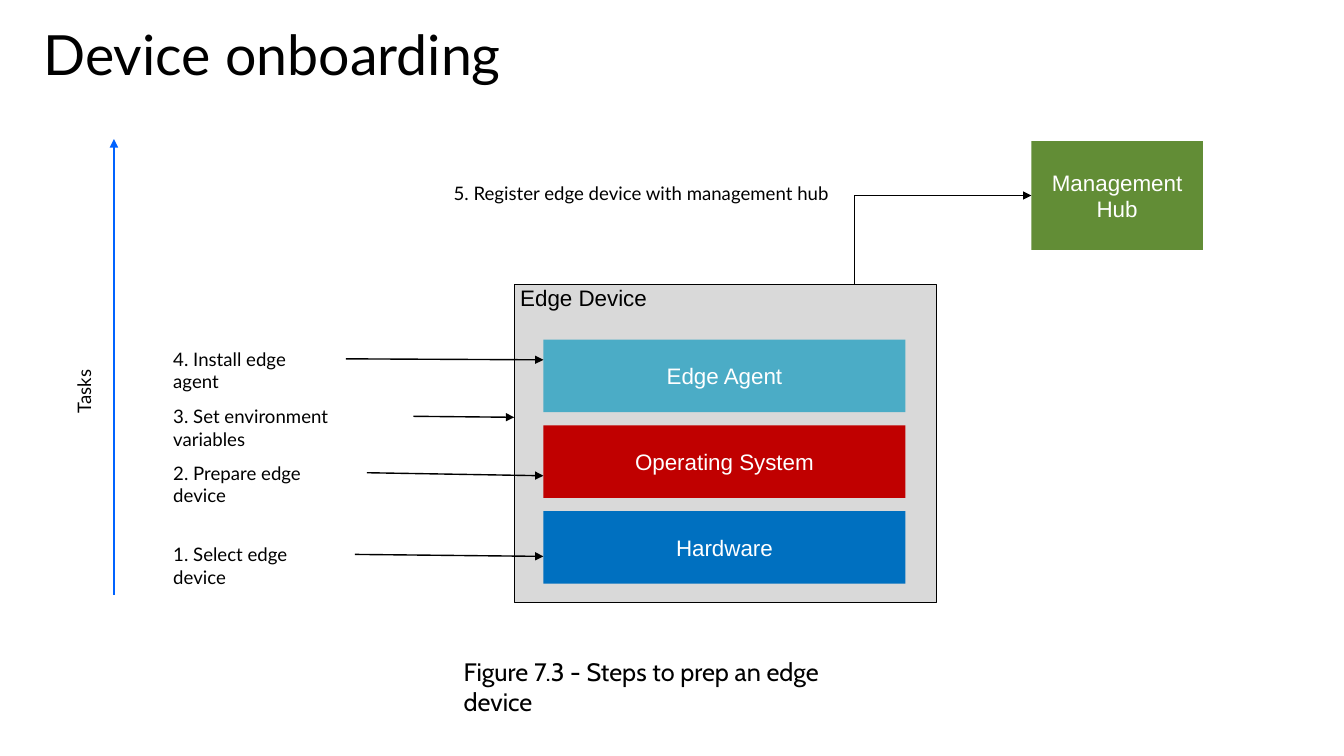
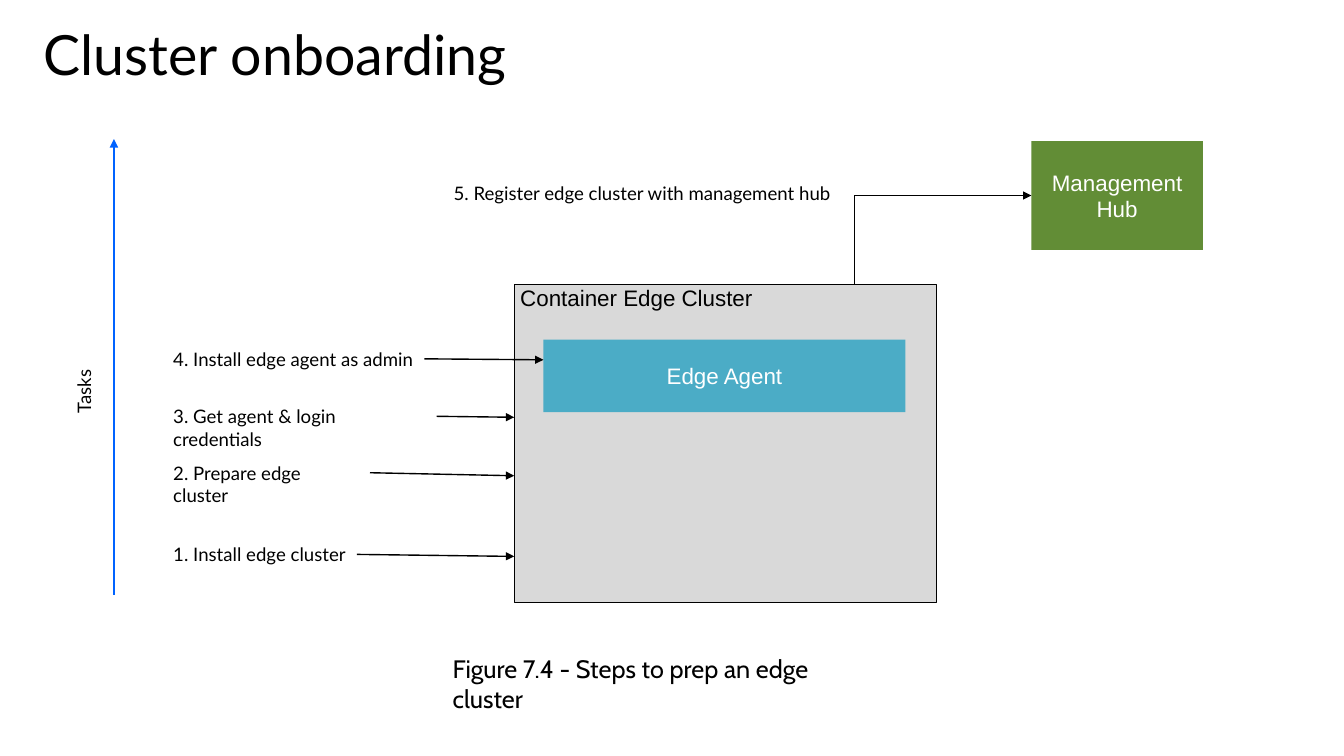
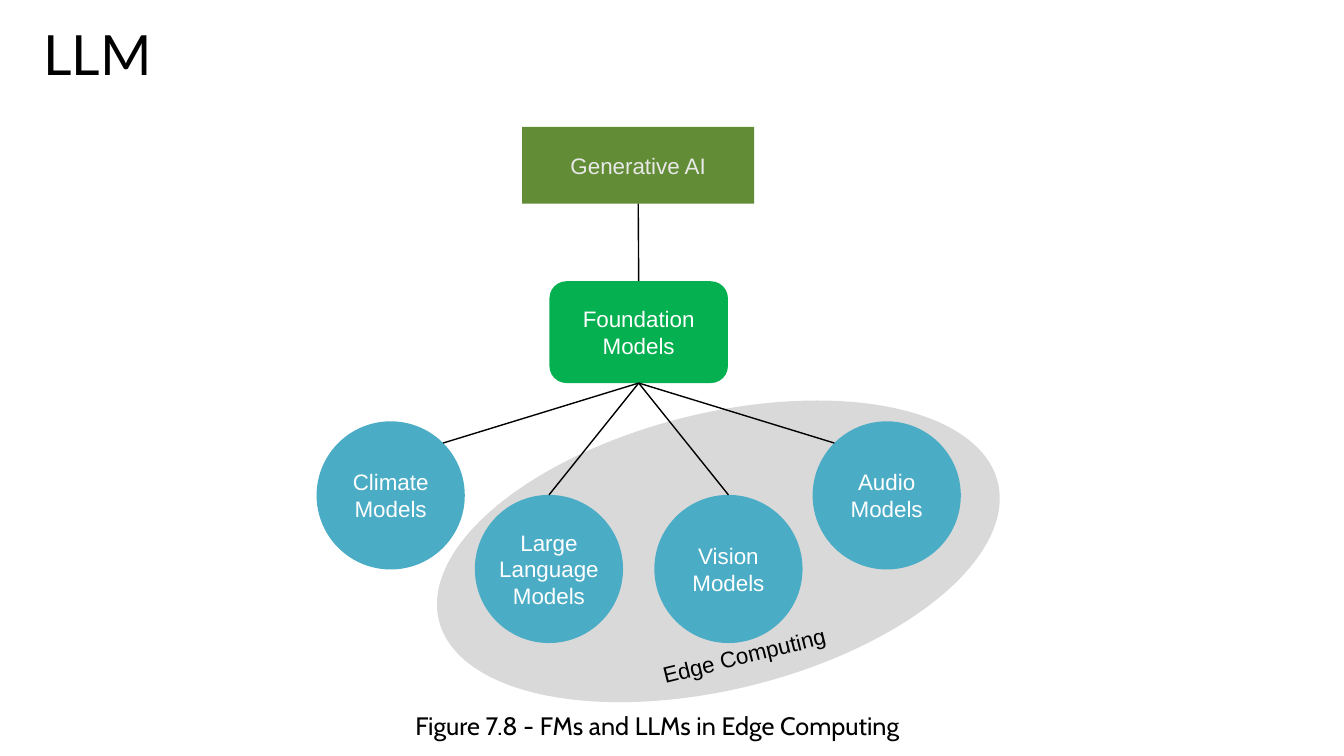
from math import sqrt

from lxml.etree import SubElement as Sub
from pptx import Presentation
from pptx.dml.color import RGBColor as Rgb
from pptx.enum.shapes import MSO_CONNECTOR as Link, MSO_SHAPE as Kind
from pptx.enum.text import MSO_ANCHOR as Anchor, MSO_AUTO_SIZE as Fit, PP_ALIGN as Align
from pptx.oxml.ns import qn
from pptx.util import Inches, Pt

HUE = {
    "black": "000000", "white": "FFFFFF", "pale": "E8E8E8", "gray": "D9D9D9",
    "olive": "628D36", "green": "05B050", "teal": "4BACC6",
    "red": "C00000", "blue": "0070C0", "axis": "0063FF",
}
ROWS = [(3.4, 3.57), (3.97, 4.14), (4.53, 4.72), (5.34, 5.52)]
STEP_X, PANEL_X, LAYER_X = 1.62, 5.1, 5.39


def color(name):
    """Return the named colour."""
    return Rgb.from_string(HUE[name])


def write(frame, text, size=16, font="Arial", hue="black", align=Align.LEFT,
          anchor=Anchor.TOP, wrap=True, inset=None, space=None):
    """Put formatted text into a frame."""
    frame.word_wrap = wrap
    frame.auto_size = Fit.NONE
    frame.vertical_anchor = anchor
    if inset is not None:
        frame.margin_left = Inches(inset)
        frame.margin_right = frame.margin_top = frame.margin_bottom = 0
    para = frame.paragraphs[0]
    para.alignment = align
    para.line_spacing = space
    run = para.add_run()
    run.text = text
    run.font.size = Pt(size)
    run.font.name = font
    run.font.color.rgb = color(hue)


class Deck:
    """Hold the style and the current slide."""

    def __init__(self):
        """Start an empty wide deck."""
        self.show = Presentation()
        self.show.slide_width = Inches(13.33)
        self.show.slide_height = Inches(7.5)
        self.slide = None

    def page(self, title):
        """Add a slide with a title."""
        self.slide = self.show.slides.add_slide(self.show.slide_layouts[5])
        head = self.slide.shapes.title
        head.left, head.top, head.width, head.height = map(Inches, (0.33, 0.29, 6, 0.56))
        write(head.text_frame, title, size=39.6, font="Lato", anchor=Anchor.MIDDLE, space=0.9)

    def box(self, x, y, w, h, fill, text="", kind=Kind.RECTANGLE, edge=None, **style):
        """Add a filled shape with centred text."""
        shape = self.slide.shapes.add_shape(kind, *map(Inches, (x, y, w, h)))
        shape.shadow.inherit = False
        shape.fill.solid()
        shape.fill.fore_color.rgb = color(fill)
        if edge:
            shape.line.color.rgb = color(edge)
            shape.line.width = Pt(0.75)
        else:
            shape.line.fill.background()
        if text:
            look = dict(hue="white", align=Align.CENTER, anchor=Anchor.MIDDLE, inset=0)
            write(shape.text_frame, text, **{**look, **style})
        return shape

    def label(self, x, y, w, text, h=0.33, turn=0, **style):
        """Add free text."""
        area = self.slide.shapes.add_textbox(*map(Inches, (x, y, w, h)))
        area.rotation = turn
        write(area.text_frame, text, **{"size": 13.3, "font": "Lato", **style})

    def line(self, start, end, hue="black", width=1, arrow=False, bend=None):
        """Add a straight or bent connector."""
        kind = Link.STRAIGHT if bend is None else Link.ELBOW
        link = self.slide.shapes.add_connector(kind, *map(Inches, (*start, *end)))
        link.line.color.rgb = color(hue)
        link.line.width = Pt(width)
        if arrow:
            Sub(link.line._get_or_add_ln(), qn("a:tailEnd"), type="triangle")
        props = link._element.spPr
        Sub(props, qn("a:effectLst"))
        if bend is not None:
            marks = props.find(qn("a:prstGeom")).find(qn("a:avLst"))
            Sub(marks, qn("a:gd"), name="adj1", fmla=f"val {bend}")
        return link

    def note(self, x, y, w, text):
        """Add a figure caption."""
        self.label(x, y, w, text, h=0.4, size=18, font="Cabin")

    def board(self, title, name, layers, steps, last, note):
        """Build an onboarding slide."""
        self.page(title)
        self.box(PANEL_X, 2.82, 4.19, 3.16, "gray", name, edge="black",
                 hue="black", align=Align.LEFT, anchor=Anchor.TOP, inset=0.06)
        for i, (text, fill) in enumerate(layers):
            self.box(LAYER_X, 3.37 + 0.85 * i, 3.59, 0.72, fill, text)
        for (top, tip), (text, width, start, end) in zip(ROWS, steps):
            self.label(STEP_X, top, width, text)
            self.line((start, top + 0.16), (end, tip), arrow=True)
        self.box(10.23, 1.4, 1.7, 1.08, "olive", "Management Hub")
        self.line((8.47, 2.82), (10.23, 1.94), arrow=True, bend=400)
        self.label(4.4, 1.76, 4.19, last)
        self.line((1.13, 5.9), (1.13, 1.38), hue="axis", width=2, arrow=True)
        self.label(0.51, 3.71, 0.65, "Tasks", turn=270, wrap=False)
        self.note(*note)

    def tree(self):
        """Build the model tree slide."""
        self.page("LLM")
        self.box(4.27, 4.1, 5.71, 2.74, "gray", kind=Kind.OVAL).rotation = -13.9
        self.label(6.38, 6.3, 2, "Edge Computing", h=0.4, turn=-13.9, size=16,
                   font="Arial", align=Align.CENTER, anchor=Anchor.MIDDLE)
        root = self.box(5.18, 1.26, 2.3, 0.76, "olive", "Generative AI", hue="pale")
        base = self.box(5.45, 2.79, 1.77, 1.01, "green", "Foundation Models",
                        kind=Kind.ROUNDED_RECTANGLE)
        stem = self.line((6.33, 2.02), (6.33, 2.79))
        stem.begin_connect(root, 2)
        stem.end_connect(base, 0)
        size = 1.47
        diag = size / 2 / sqrt(2)
        for x, y, side, text in [
            (3.14, 4.18, 1, "Climate Models"),
            (4.71, 4.91, 0, "Large Language Models"),
            (6.49, 4.91, 0, "Vision Models"),
            (8.06, 4.18, -1, "Audio Models"),
        ]:
            ball = self.box(x, y, size, size, "teal", text, kind=Kind.OVAL)
            rise = diag if side else size / 2
            end = (x + size / 2 + side * diag, y + size / 2 - rise)
            link = self.line((6.33, 3.8), end)
            link.begin_connect(base, 2)
            if not side:
                link.end_connect(ball, 0)
        self.note(4.02, 7, 5.11, "Figure 7.8 - FMs and LLMs in Edge Computing")


def main():
    """Build and save the deck."""
    deck = Deck()
    agent = ("Edge Agent", "teal")
    deck.board(
        "Device onboarding", "Edge Device",
        [agent, ("Operating System", "red"), ("Hardware", "blue")],
        [("4. Install edge agent", 1.6, 3.43, LAYER_X),
         ("3. Set environment variables", 2.1, 4.1, PANEL_X),
         ("2. Prepare edge device", 1.6, 3.64, LAYER_X),
         ("1. Select edge device", 1.6, 3.52, LAYER_X)],
        "5. Register edge device with management hub",
        (4.5, 6.46, 4.33, "Figure 7.3 - Steps to prep an edge device"))
    deck.board(
        "Cluster onboarding", "Container Edge Cluster", [agent],
        [("4. Install edge agent as admin", 2.8, 4.21, LAYER_X),
         ("3. Get agent & login credentials", 2.1, 4.33, PANEL_X),
         ("2. Prepare edge cluster", 1.6, 3.67, PANEL_X),
         ("1. Install edge cluster", 2.1, 3.54, PANEL_X)],
        "5. Register edge cluster with management hub",
        (4.39, 6.43, 4.35, "Figure 7.4 - Steps to prep an edge cluster"))
    deck.tree()
    deck.show.save("out.pptx")


if __name__ == "__main__":
    main()
